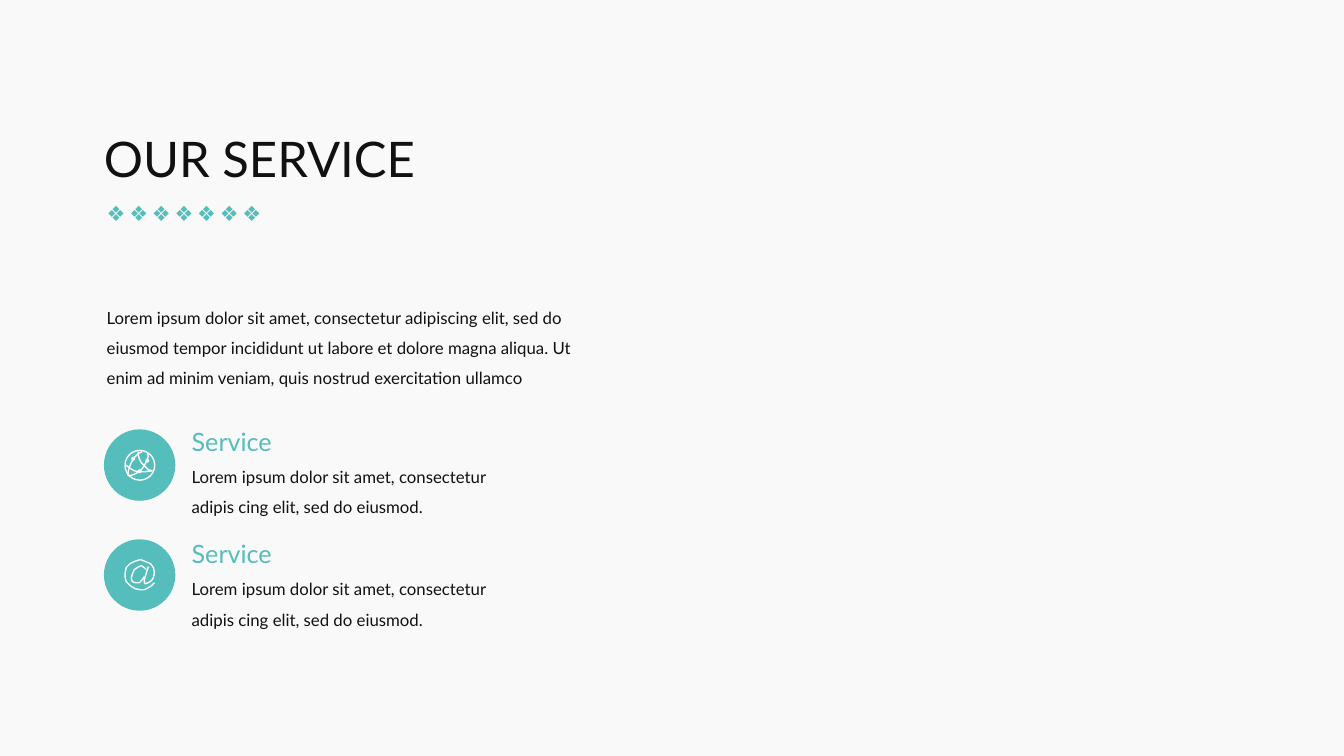
"""Build the "Our service" slide with two icon rows."""
import pptx
import pptx.dml.color
import pptx.enum.shapes
import pptx.util

Cm, Pt = pptx.util.Cm, pptx.util.Pt
RGB = pptx.dml.color.RGBColor.from_string
OVAL = pptx.enum.shapes.MSO_SHAPE.OVAL
COLORS = {"paper": "F9F9F9", "ink": "111111", "teal": "56BDBD"}
ICON_UNIT = Cm(2.54) / 100

GLOBE_STRANDS = [
    [(14, 2), (13.5, 5), (15, 9), (17, 13), (20, 16.5), (24, 19.5), (28, 21)],
    [(23, 3), (23.5, 7), (22, 12), (20, 16), (17, 20), (13, 23), (9, 25), (4, 26)],
    [(18, 2), (14, 4.5), (10, 8), (7, 13), (5, 18), (4, 22), (4, 26)],
    [(1, 15), (5, 18.5), (10, 21), (15, 22), (20, 22), (28, 21)],
]
AT_STROKES = [
    [(29.5, 23), (27, 26), (24, 28), (20, 29.5), (16, 30), (11, 29), (6, 26.5),
     (2.5, 22), (1, 18), (1, 13), (2.5, 8.5), (5.5, 4.5), (10, 1.5), (16, 0.5),
     (21, 1.5), (26, 4), (29, 8), (30, 13), (29, 17.5), (27, 21), (24, 23.3),
     (21, 24), (19.5, 23), (19.7, 20), (24.5, 7)],
    [(22.5, 10.5), (20.5, 7.5), (17, 6.5), (13, 7.5), (9.5, 10.5), (7.5, 15),
     (7, 18.5), (8, 21.5), (11, 23.3), (15, 22.8), (18, 20.5), (20, 17)],
]
GLOBE_NODES = [(9, 9), (23, 11), (15.5, 21.5)]


def add_text(text, left, top, width, height, size, color="ink", font="Lato",
             wrap=False, spacing=None):
    s = slide.shapes.add_textbox(Cm(left), Cm(top), Cm(width), Cm(height))
    tf = s.text_frame
    tf.margin_left = tf.margin_top = tf.margin_right = tf.margin_bottom = 0
    tf.word_wrap = wrap
    p = tf.paragraphs[0]
    p.line_spacing = spacing
    r = p.add_run()
    r.text = text
    r.font.name, r.font.size = font, Pt(size)
    r.font.color.rgb = RGB(COLORS[color])


def paint(sp, fill=None, line=None):
    sp.shadow.inherit = False
    for part, color in ((sp.fill, fill), (sp.line.fill, line)):
        if color:
            part.solid()
            part.fore_color.rgb = RGB(COLORS[color])
        else:
            part.background()
    if line:
        sp.line.width = Pt(1)


prs = pptx.Presentation()
prs.slide_width, prs.slide_height = Cm(33.87), Cm(19.05)
slide = prs.slides.add_slide(prs.slide_layouts[6])
slide.background.fill.solid()
slide.background.fill.fore_color.rgb = RGB(COLORS["paper"])

add_text("OUR SERVICE", 2.62, 3.23, 8.03, 1.5, size=35)
for i in range(7):
    add_text("❖", 2.69 + 0.57 * i, 5.05, 0.48, 0.64, size=15, color="teal", font="Calibri")
add_text("Lorem ipsum dolor sit amet, consectetur adipiscing elit, sed do eiusmod "
         "tempor incididunt ut labore et dolore magna aliqua. Ut enim ad minim "
         "veniam, quis nostrud exercitation ullamco",
         2.69, 7.49, 11.94, 2.31, size=12, wrap=True, spacing=1.5)

for circle_top, text_top, strokes in ((10.82, 10.74, GLOBE_STRANDS),
                                      (13.59, 13.57, AT_STROKES)):
    sp = slide.shapes.add_shape(OVAL, Cm(2.62), Cm(circle_top), Cm(1.8), Cm(1.8))
    paint(sp, fill="teal")

    icon_left, icon_top = Cm(3.13), Cm(circle_top + 0.51)
    fb = slide.shapes.build_freeform(*strokes[0][0], scale=ICON_UNIT)
    fb.add_line_segments(strokes[0][1:], close=False)
    for stroke in strokes[1:]:
        fb.move_to(*stroke[0])
        fb.add_line_segments(stroke[1:], close=False)
    paint(fb.convert_to_shape(icon_left, icon_top), line="paper")

    if strokes is GLOBE_STRANDS:
        ring = slide.shapes.add_shape(OVAL, icon_left + Cm(0.02), icon_top + Cm(0.02),
                                      Cm(0.75), Cm(0.75))
        paint(ring, line="paper")
        for x, y in GLOBE_NODES:
            node = slide.shapes.add_shape(OVAL, icon_left + int((x - 2) * ICON_UNIT),
                                          icon_top + int((y - 2) * ICON_UNIT),
                                          Cm(0.1), Cm(0.1))
            paint(node, fill="paper")

    add_text("Service", 4.83, text_top, 2.26, 0.76, size=18, color="teal")
    add_text("Lorem ipsum dolor sit amet, consectetur adipis cing elit, sed do eiusmod.",
             4.83, text_top + 0.77, 8.1, 1.55, size=12, wrap=True, spacing=1.5)

prs.save("out.pptx")
